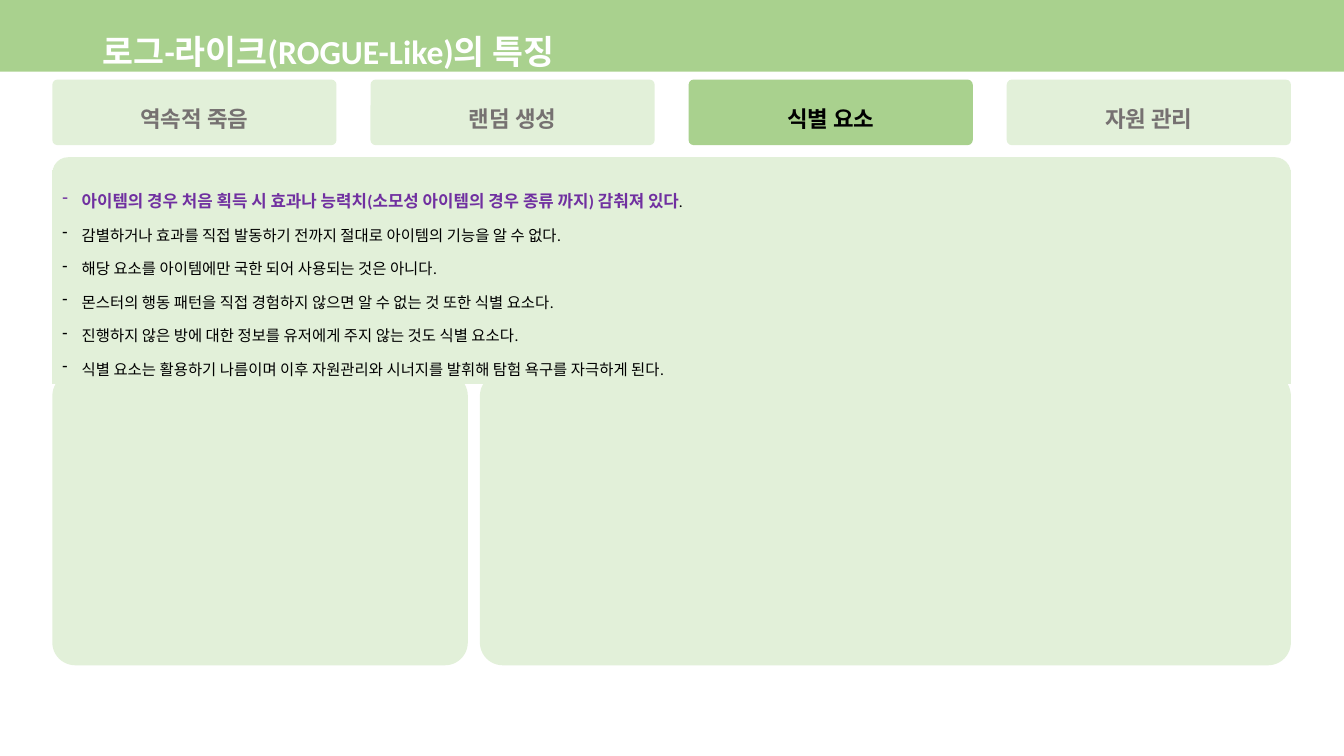
"""Build the slide on the identification element of roguelike games."""
from dataclasses import dataclass

from pptx import Presentation
from pptx.dml.color import RGBColor
from pptx.enum.shapes import MSO_SHAPE
from pptx.enum.text import MSO_ANCHOR, MSO_AUTO_SIZE, PP_ALIGN
from pptx.oxml.xmlchemy import OxmlElement
from pptx.util import Inches, Pt

RECT, ROUND = MSO_SHAPE.RECTANGLE, MSO_SHAPE.ROUNDED_RECTANGLE
MIDDLE, NO_FIT = MSO_ANCHOR.MIDDLE, MSO_AUTO_SIZE.NONE
LEFT, CENTER = PP_ALIGN.LEFT, PP_ALIGN.CENTER
FONT = "Calibri"
COLORS = {"green": "A9D18E", "pale": "E2F0D9", "white": "FFFFFF",
          "gray": "767171", "black": "000000", "purple": "7030A0"}
WIDTH, HEIGHT = Inches(13.33), Inches(7.5)
MARGIN, CONTENT, TAB_GAP = 3.9, 92.15, 2.53
CORNER, LINE_SPACING, INDENT = 0.078, 1.5, Inches(0.19)


@dataclass(frozen=True)
class Box:
    """Percentages of the slide's width and height."""
    left: float
    top: float
    width: float
    height: float

    def emu(self) -> tuple[int, ...]:
        sides = (WIDTH, HEIGHT, WIDTH, HEIGHT)
        shares = (self.left, self.top, self.width, self.height)
        return tuple(round(side * share / 100) for side, share in zip(sides, shares))


@dataclass(frozen=True)
class Run:
    text: str
    size: float = 11
    color: str = "black"
    bold: bool = False


@dataclass(frozen=True)
class Tab:
    label: str
    fill: str = "pale"
    color: str = "gray"


TITLE = Run("로그-라이크(ROGUE-Like)의 특징", 24, "white", True)
TITLE_BOX = Box(6.9, 2, 86.27, 6.93)
BAR = Box(0, 0, 100, 9.47)
TABS = [Tab("역속적 죽음"), Tab("랜덤 생성"),
        Tab("식별 요소", "green", "black"), Tab("자원 관리")]
PANELS = [Box(35.71, 49.33, 60.34, 38.67),
          Box(MARGIN, 49.33, 30.91, 38.67),
          Box(MARGIN, 20.8, CONTENT, 26.93)]
TABLE_BOX = Box(MARGIN, 22.53, CONTENT, 17.2)
BULLETS = [
    [Run("아이템의 경우 처음 획득 시 효과나 능력치(소모성 아이템의 경우 종류 까지) 감춰져 있다",
         12, "purple", True), Run(".")],
    [Run("감별하거나 효과를 직접 발동하기 전까지 절대로 아이템의 기능을 알 수 없다.")],
    [Run("해당 요소를 아이템에만 국한 되어 사용되는 것은 아니다.")],
    [Run("몬스터의 행동 패턴을 직접 경험하지 않으면 알 수 없는 것 또한 식별 요소다.")],
    [Run("진행하지 않은 방에 대한 정보를 유저에게 주지 않는 것도 식별 요소다.")],
    [Run("식별 요소는 활용하기 나름이며 이후 자원관리와 시너지를 발휘해 탐험 욕구를 자극하게 된다.")],
]


def rgb(name: str) -> RGBColor:
    return RGBColor.from_string(COLORS[name])


def write(p, runs: list[Run], align) -> None:
    p.alignment, p.line_spacing = align, LINE_SPACING
    for run in runs:
        r = p.add_run()
        r.text = run.text
        r.font.name, r.font.size, r.font.bold = FONT, Pt(run.size), run.bold
        r.font.color.rgb = rgb(run.color)


def add_block(slide, box: Box, fill: str, kind=ROUND):
    s = slide.shapes.add_shape(kind, *box.emu())
    s.shadow.inherit = False
    s.fill.solid()
    s.fill.fore_color.rgb = rgb(fill)
    s.line.fill.background()
    if kind == ROUND:
        s.adjustments[0] = CORNER
    return s


def add_title(slide) -> None:
    bar = add_block(slide, BAR, "green", RECT)
    sp = slide.shapes.title
    sp._element.addprevious(bar._element)
    sp.left, sp.top, sp.width, sp.height = TITLE_BOX.emu()
    tf = sp.text_frame
    tf.vertical_anchor, tf.auto_size, tf.word_wrap = MIDDLE, NO_FIT, True
    write(tf.paragraphs[0], [TITLE], LEFT)


def add_tabs(slide) -> None:
    width = (CONTENT - TAB_GAP * (len(TABS) - 1)) / len(TABS)
    for i, tab in enumerate(TABS):
        box = Box(MARGIN + i * (width + TAB_GAP), 10.53, width, 8.67)
        tf = add_block(slide, box, tab.fill).text_frame
        tf.vertical_anchor = MIDDLE
        write(tf.paragraphs[0], [Run(tab.label, 16, tab.color, True)], CENTER)


def add_dash(p) -> None:
    pPr = p._p.get_or_add_pPr()
    pPr.set("marL", str(INDENT))
    pPr.set("indent", str(-INDENT))
    bullet = OxmlElement("a:buChar")
    bullet.set("char", "-")
    pPr.append(bullet)


def clear_borders(cell) -> None:
    tcPr = cell._tc.get_or_add_tcPr()
    for i, side in enumerate(("a:lnL", "a:lnR", "a:lnT", "a:lnB")):
        line = OxmlElement(side)
        line.append(OxmlElement("a:noFill"))
        tcPr.insert(i, line)


def add_bullets(slide) -> None:
    table = slide.shapes.add_table(1, 1, *TABLE_BOX.emu()).table
    table.first_row = table.horz_banding = False
    cell = table.cell(0, 0)
    cell.vertical_anchor = MIDDLE
    cell.fill.solid()
    cell.fill.fore_color.rgb = rgb("pale")
    clear_borders(cell)
    tf = cell.text_frame
    for i, runs in enumerate(BULLETS):
        p = tf.add_paragraph() if i else tf.paragraphs[0]
        add_dash(p)
        write(p, runs, LEFT)


def main() -> None:
    prs = Presentation()
    prs.slide_width, prs.slide_height = WIDTH, HEIGHT
    slide = prs.slides.add_slide(prs.slide_layouts.get_by_name("Title Only"))
    add_title(slide)
    add_tabs(slide)
    for box in PANELS:
        add_block(slide, box, "pale")
    add_bullets(slide)
    prs.save("out.pptx")


if __name__ == "__main__":
    main()
